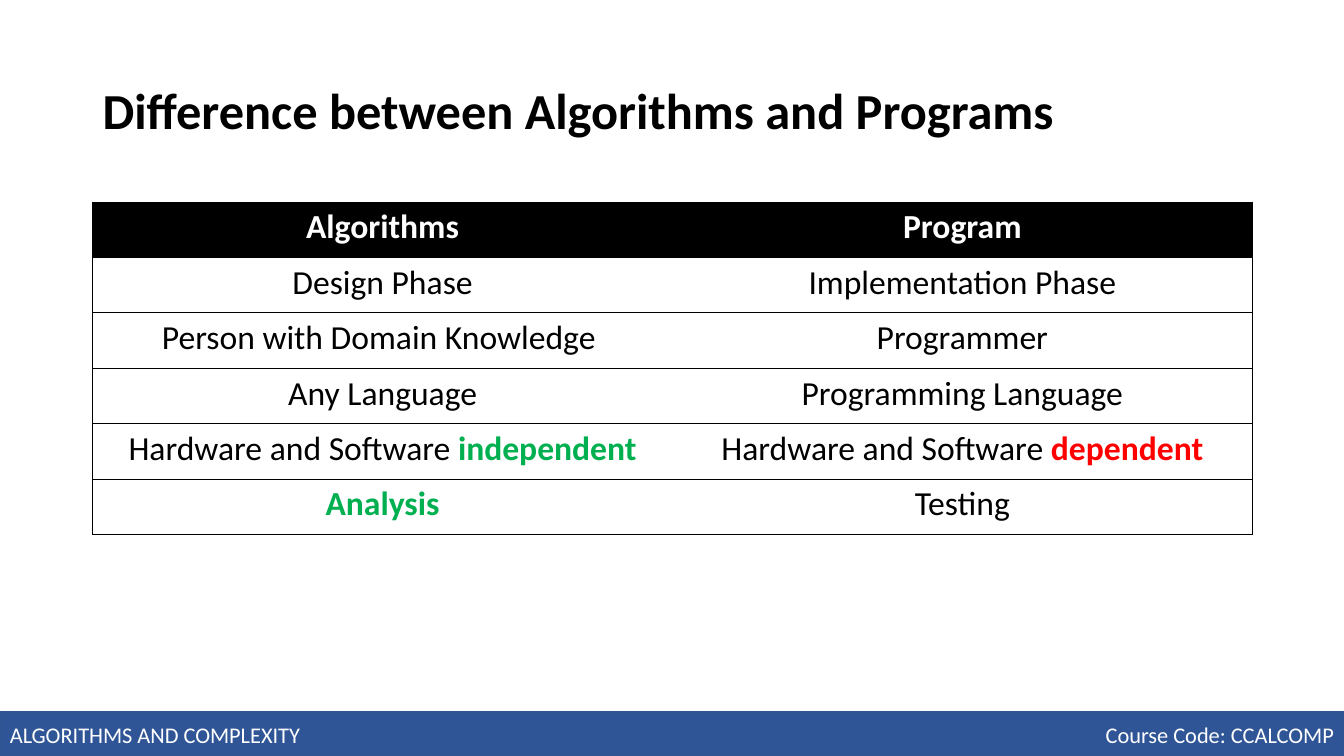
from dataclasses import dataclass

from lxml import etree
from pptx import Presentation
from pptx.dml.color import RGBColor
from pptx.enum.shapes import MSO_SHAPE
from pptx.enum.text import MSO_ANCHOR, PP_ALIGN
from pptx.oxml.ns import qn
from pptx.util import Emu, Inches, Pt

FONT = "Calibri"
COLORS = {
    "black": "000000",
    "white": "FFFFFF",
    "green": "00B050",
    "red": "FF0000",
    "bar": "2F5597",
    "bar_line": "325491",
}
WIDTH, HEIGHT = Inches(13.33), Inches(7.5)
COLUMN_WIDTH, ROW_HEIGHT = Inches(5.75), Inches(0.55)
BORDER_WIDTH = Pt(0.5)


@dataclass(frozen=True)
class Span:
    text: str
    color: str = "black"
    bold: bool = False


@dataclass(frozen=True)
class Label:
    """A text box; left, top, width and height are shares of the slide."""
    text: str
    left: float
    top: float
    width: float
    height: float
    size: int
    color: str
    bold: bool = False
    align: PP_ALIGN = PP_ALIGN.LEFT
    anchor: MSO_ANCHOR = MSO_ANCHOR.TOP
    line_spacing: float = 1.0


LABELS = [
    Label("Difference between Algorithms and Programs", 0.069, 0.053, 0.863, 0.193,
          36, "black", bold=True, anchor=MSO_ANCHOR.MIDDLE, line_spacing=0.9),
    Label("ALGORITHMS AND COMPLEXITY", 0, 0.947, 0.297, 0.049, 16, "white"),
    Label("Course Code: CCALCOMP", 0.758, 0.947, 0.242, 0.049, 16, "white",
          align=PP_ALIGN.RIGHT),
]

ROWS = [
    ([Span("Algorithms", "white", True)], [Span("Program", "white", True)]),
    ([Span("Design Phase")], [Span("Implementation Phase")]),
    ([Span("Person with Domain Knowledge ")], [Span("Programmer")]),
    ([Span("Any Language")], [Span("Programming Language")]),
    ([Span("Hardware and Software "), Span("independent", "green", True)],
     [Span("Hardware and Software "), Span("dependent", "red", True)]),
    ([Span("Analysis", "green", True)], [Span("Testing")]),
]


def rgb(name: str) -> RGBColor:
    return RGBColor.from_string(COLORS[name])


def share(length: int, part: float) -> Emu:
    return Emu(round(length * part))


def add_label(page, label: Label) -> None:
    box = page.shapes.add_textbox(
        share(WIDTH, label.left), share(HEIGHT, label.top),
        share(WIDTH, label.width), share(HEIGHT, label.height))
    frame = box.text_frame
    frame.word_wrap = True
    frame.vertical_anchor = label.anchor
    para = frame.paragraphs[0]
    para.text = label.text
    para.alignment = label.align
    para.line_spacing = label.line_spacing
    para.font.name = FONT
    para.font.size = Pt(label.size)
    para.font.bold = label.bold
    para.font.color.rgb = rgb(label.color)


def add_border(cell, side: str, visible: bool) -> None:
    properties = cell._tc.get_or_add_tcPr()
    line = etree.SubElement(properties, qn(f"a:ln{side}"), w=str(BORDER_WIDTH))
    if visible:
        fill = etree.SubElement(line, qn("a:solidFill"))
        etree.SubElement(fill, qn("a:srgbClr"), val=COLORS["black"])
    else:
        etree.SubElement(line, qn("a:noFill"))


def fill_cell(cell, spans: list[Span], row: int, column: int) -> None:
    # Rules run between rows and around the table, not between columns
    for side, visible in (("L", column == 0), ("R", column == 1),
                          ("T", True), ("B", True)):
        add_border(cell, side, visible)
    cell.fill.solid()
    cell.fill.fore_color.rgb = rgb("black" if row == 0 else "white")

    para = cell.text_frame.paragraphs[0]
    para.alignment = PP_ALIGN.CENTER
    para.font.name = FONT
    para.font.size = Pt(24)
    for span in spans:
        run = para.add_run()
        run.text = span.text
        run.font.bold = span.bold
        run.font.color.rgb = rgb(span.color)


def add_comparison(page) -> None:
    table = page.shapes.add_table(
        len(ROWS), 2, share(WIDTH, 0.069), share(HEIGHT, 0.267),
        2 * COLUMN_WIDTH, len(ROWS) * ROW_HEIGHT).table
    table.horz_banding = False
    for column in table.columns:
        column.width = COLUMN_WIDTH
    for row, entries in enumerate(ROWS):
        table.rows[row].height = ROW_HEIGHT
        for column, spans in enumerate(entries):
            fill_cell(table.cell(row, column), spans, row, column)


def add_footer_bar(page) -> None:
    top = share(HEIGHT, 0.942)
    bar = page.shapes.add_shape(MSO_SHAPE.RECTANGLE, 0, top, WIDTH, HEIGHT - top)
    bar.shadow.inherit = False
    bar.fill.solid()
    bar.fill.fore_color.rgb = rgb("bar")
    bar.line.color.rgb = rgb("bar_line")
    bar.line.width = Pt(1)


def main() -> None:
    deck = Presentation()
    deck.slide_width, deck.slide_height = WIDTH, HEIGHT
    page = deck.slides.add_slide(deck.slide_layouts[6])

    # Comparison table and footer bar, then the text above them
    add_comparison(page)
    add_footer_bar(page)
    for label in LABELS:
        add_label(page, label)

    deck.save("out.pptx")


if __name__ == "__main__":
    main()
